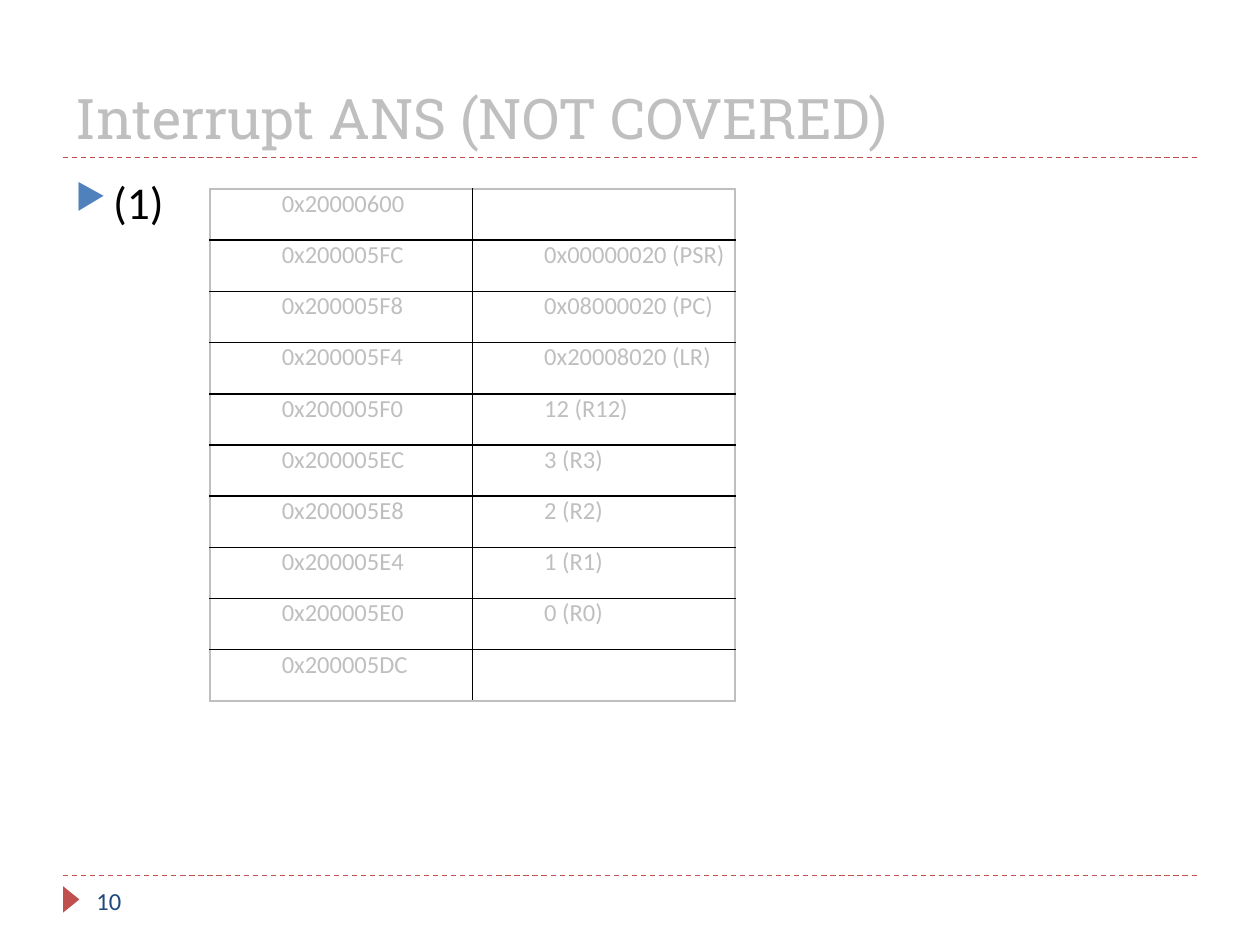
from lxml.etree import SubElement
from pptx import Presentation
from pptx.dml.color import RGBColor
from pptx.enum.dml import MSO_LINE
from pptx.enum.shapes import MSO_CONNECTOR, MSO_SHAPE
from pptx.enum.text import MSO_ANCHOR, PP_ALIGN
from pptx.oxml.ns import qn
from pptx.util import Inches, Pt

GREY = RGBColor(0xBF, 0xBF, 0xBF)
RED = RGBColor(0xC0, 0x50, 0x4D)
BLUE = RGBColor(0x4F, 0x81, 0xBD)
NAVY = RGBColor(0x1F, 0x49, 0x7D)
BLACK = RGBColor(0, 0, 0)

UNIT = Inches(1) / 6
COLUMNS, ROWS = 60, 45

TOP_ADDRESS = 0x20000600
WORD_BYTES = 4
STACK = ["", "0x00000020 (PSR)", "0x08000020 (PC)", "0x20008020 (LR)",
         "12 (R12)", "3 (R3)", "2 (R2)", "1 (R1)", "0 (R0)", ""]


def grid(*counts):
    return [round(count * UNIT) for count in counts]


def add_run(paragraph, words, size, color, font="Calibri"):
    run = paragraph.add_run()
    run.text = words
    run.font.size = Pt(size)
    run.font.name = font
    run.font.color.rgb = color


def add_color(parent, color):
    SubElement(parent, qn("a:srgbClr"), val=str(color))


def add_rule(slide, left, top, width):
    rule = slide.shapes.add_connector(
        MSO_CONNECTOR.STRAIGHT, *grid(left, top, left + width, top))
    rule.line.color.rgb = RED
    rule.line.width = Pt(0.75)
    rule.line.dash_style = MSO_LINE.DASH
    SubElement(rule._element.spPr, qn("a:effectLst"))


def add_title(slide, left, top, width, height):
    title = slide.shapes.title
    title.left, title.top, title.width, title.height = grid(left, top, width, height)
    frame = title.text_frame
    frame.word_wrap = True
    frame.vertical_anchor = MSO_ANCHOR.BOTTOM
    heading = frame.paragraphs[0]
    heading.alignment = PP_ALIGN.LEFT
    add_run(heading, "Interrupt ANS (NOT COVERED)", 32, GREY, "Roboto Slab")
    add_rule(slide, left, top + height, width)


def add_answer_label(slide, left, top, width, height):
    label = slide.shapes.add_textbox(*grid(left, top, width, height))
    label.text_frame.word_wrap = True
    paragraph = label.text_frame.paragraphs[0]
    properties = paragraph._p.get_or_add_pPr()
    properties.set("marL", str(Inches(0.3)))
    properties.set("indent", str(-Inches(0.3)))
    add_color(SubElement(properties, qn("a:buClr")), BLUE)
    SubElement(properties, qn("a:buSzPct"), val="76000")
    SubElement(properties, qn("a:buChar"), char="▶")
    add_run(paragraph, "(1)", 26, BLACK)


def set_border(cell, side, color):
    border = SubElement(cell._tc.get_or_add_tcPr(), qn(f"a:{side}"), w=str(Pt(1)))
    add_color(SubElement(border, qn("a:solidFill")), color)


def fill_cell(cell, words, edges):
    cell.margin_left = cell.margin_right = Inches(0.07)
    cell.margin_top = cell.margin_bottom = 0
    for side, is_outer in edges.items():
        set_border(cell, side, GREY if is_outer else BLACK)
    cell.fill.background()
    paragraph = cell.text_frame.paragraphs[0]
    paragraph._p.get_or_add_pPr().set("marL", str(Inches(0.5)))
    if words:
        add_run(paragraph, words, 14, GREY)
    else:
        paragraph.font.size = Pt(14)


def add_stack_table(slide, left, top, width, height):
    last = len(STACK) - 1
    table = slide.shapes.add_table(
        len(STACK), 2, *grid(left, top, width, height)).table
    table.first_row = table.horz_banding = False
    for index, content in enumerate(STACK):
        address = f"0x{TOP_ADDRESS - WORD_BYTES * index:08X}"
        for column, words in enumerate((address, content)):
            edges = {"lnL": column == 0, "lnR": column == 1,
                     "lnT": index == 0, "lnB": index == last}
            fill_cell(table.cell(index, column), words, edges)


def add_footer(slide, left, top, width, height):
    add_rule(slide, left, top, width)
    marker = slide.shapes.add_shape(
        MSO_SHAPE.ISOSCELES_TRIANGLE,
        *grid(left - 0.24, top + 0.74, 1.26, 0.78))
    marker.rotation = 90
    marker.shadow.inherit = False
    marker.fill.solid()
    marker.fill.fore_color.rgb = RED
    marker.line.fill.background()
    number = slide.shapes.add_textbox(*grid(left + 1, top, 13, height))
    number.text_frame.word_wrap = True
    number.text_frame.vertical_anchor = MSO_ANCHOR.MIDDLE
    add_run(number.text_frame.paragraphs[0], "10", 14, NAVY)


def main():
    presentation = Presentation()
    presentation.slide_width, presentation.slide_height = grid(COLUMNS, ROWS)
    slide = presentation.slides.add_slide(presentation.slide_layouts[5])
    margin = 3
    content_width = COLUMNS - 2 * margin
    add_title(slide, margin, 1, content_width, 6.5)
    add_answer_label(slide, margin, 8, content_width, 32.4)
    add_stack_table(slide, 10, 9, 25, 24.4)
    add_footer(slide, margin, 41.7, content_width, 2.4)
    presentation.save("out.pptx")


if __name__ == "__main__":
    main()
